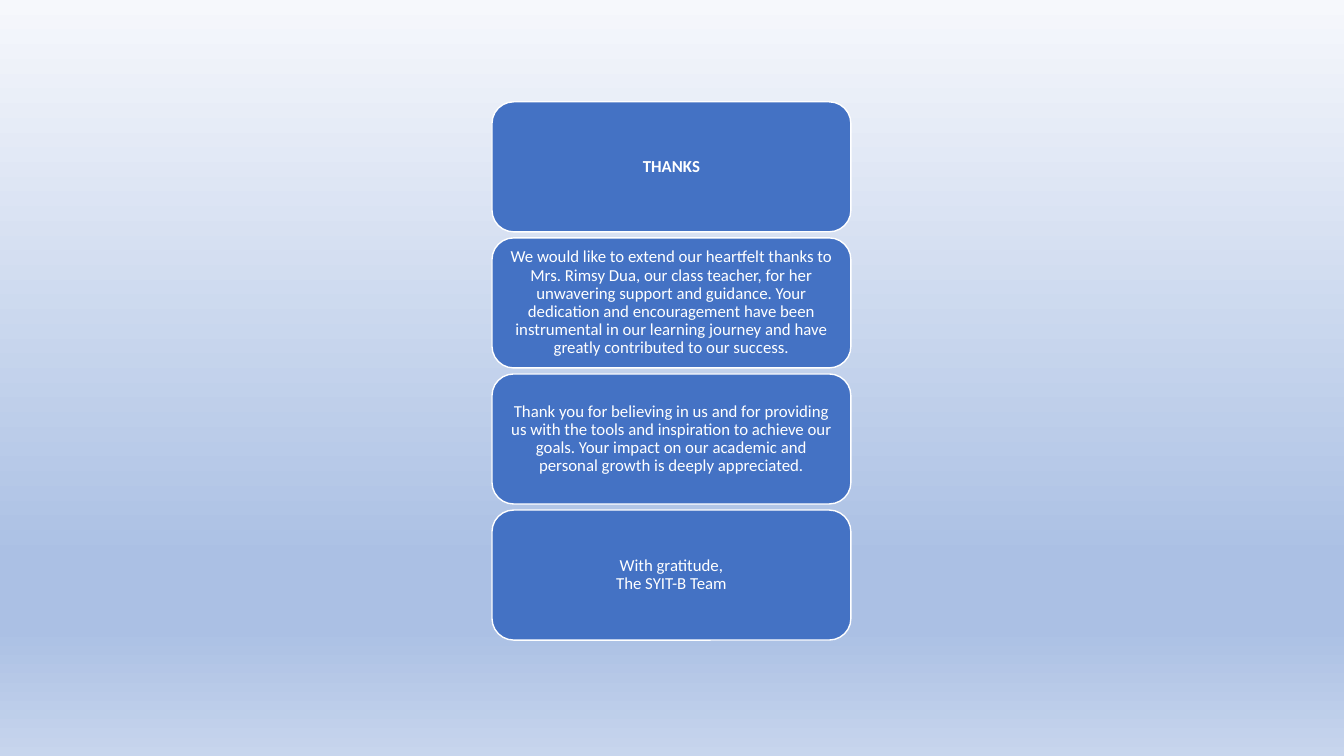
"""Build a thank-you slide with four stacked message cards."""
from copy import deepcopy
from dataclasses import dataclass

from pptx import Presentation
from pptx import util as u
from pptx.dml.color import RGBColor
from pptx.enum import shapes, text
from pptx.oxml.ns import qn

WHITE = RGBColor(0xFF, 0xFF, 0xFF)
CARD_BLUE = RGBColor(0x44, 0x72, 0xC4)
BACKGROUND_STOPS = (
    (0, RGBColor(0xF6, 0xF8, 0xFC)),
    (0.74, RGBColor(0xAB, 0xC0, 0xE4)),
    (0.83, RGBColor(0xAB, 0xC0, 0xE4)),
    (1, RGBColor(0xC7, 0xD5, 0xED)),
)

CARD_LEFT, CARD_TOP = 4.88, 1.01
CARD_WIDTH, CARD_HEIGHT = 3.56, 1.29
CARD_PITCH = 1.35


@dataclass(frozen=True)
class Message:
    words: str
    is_title: bool = False


MESSAGES = (
    Message("THANKS", is_title=True),
    Message(
        "We would like to extend our heartfelt thanks to Mrs. Rimsy Dua, our class "
        "teacher, for her unwavering support and guidance. Your dedication and "
        "encouragement have been instrumental in our learning journey and have "
        "greatly contributed to our success."
    ),
    Message(
        "Thank you for believing in us and for providing us with the tools and "
        "inspiration to achieve our goals. Your impact on our academic and personal "
        "growth is deeply appreciated."
    ),
    Message("With gratitude,\nThe SYIT-B Team"),
)


def paint_background(slide) -> None:
    fill = slide.background.fill
    fill.gradient()
    fill.gradient_angle = 270
    stop_list = slide._element.find(".//" + qn("a:gsLst"))
    while len(stop_list) < len(BACKGROUND_STOPS):
        stop_list.append(deepcopy(stop_list[0]))
    for stop, (position, color) in zip(fill.gradient_stops, BACKGROUND_STOPS):
        stop.position = position
        stop.color.rgb = color


def write_message(holder, message: Message) -> None:
    frame = holder.text_frame
    frame.word_wrap = True
    frame.auto_size = text.MSO_AUTO_SIZE.NONE
    frame.vertical_anchor = text.MSO_ANCHOR.MIDDLE
    frame.margin_left = frame.margin_right = u.Inches(0.11)
    frame.margin_top = frame.margin_bottom = u.Inches(0.1)
    paragraph = frame.paragraphs[0]
    paragraph.text = message.words
    paragraph.alignment = text.PP_ALIGN.CENTER
    paragraph.line_spacing = 0.9
    paragraph.font.name = "Calibri"
    paragraph.font.size = u.Pt(12)
    paragraph.font.bold = message.is_title
    paragraph.font.color.rgb = WHITE


def add_card(slide, row: int, message: Message) -> None:
    card = slide.shapes.add_shape(
        shapes.MSO_SHAPE.ROUNDED_RECTANGLE,
        u.Inches(CARD_LEFT),
        u.Inches(CARD_TOP + row * CARD_PITCH),
        u.Inches(CARD_WIDTH),
        u.Inches(CARD_HEIGHT),
    )
    card.shadow.inherit = False
    card.fill.solid()
    card.fill.fore_color.rgb = CARD_BLUE
    card.line.color.rgb = WHITE
    card.line.width = u.Pt(1)
    holder = card
    if message.is_title:
        holder = slide.shapes.title
        holder.left, holder.top = card.left, card.top
        holder.width, holder.height = card.width, card.height
        card._element.addnext(holder._element)
    write_message(holder, message)


def main() -> None:
    deck = Presentation()
    deck.slide_width, deck.slide_height = u.Inches(13.33), u.Inches(7.5)
    slide = deck.slides.add_slide(deck.slide_layouts.get_by_name("Title Only"))
    paint_background(slide)
    for row, message in enumerate(MESSAGES):
        add_card(slide, row, message)
    deck.save("out.pptx")


if __name__ == "__main__":
    main()
